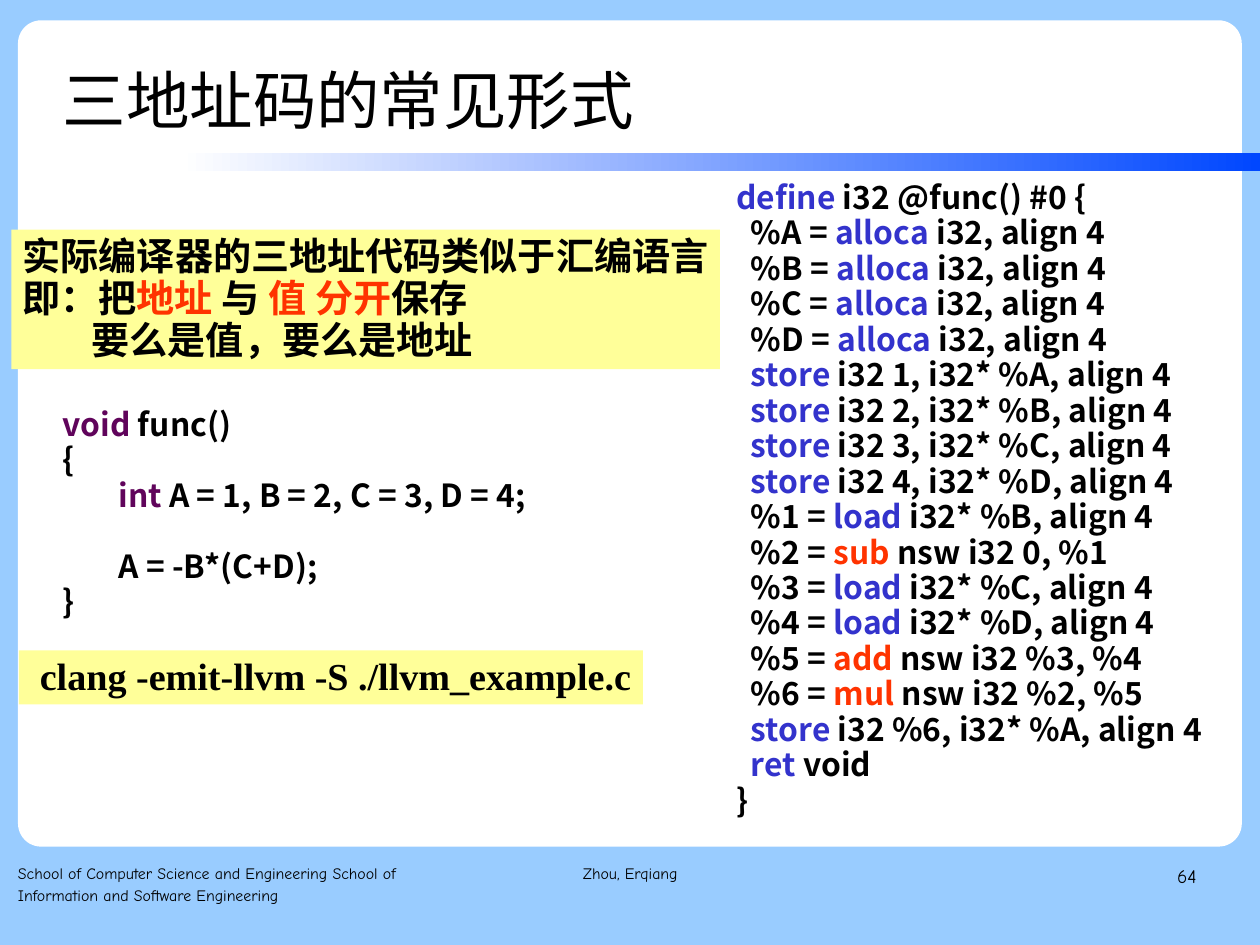
import pptx
import pptx.dml.color
import pptx.enum.shapes
import pptx.enum.text
import pptx.oxml
import pptx.util

Pt = pptx.util.Pt
Align = pptx.enum.text.PP_ALIGN
Anchor = pptx.enum.text.MSO_ANCHOR
Preset = pptx.enum.shapes.MSO_SHAPE

colors = {
    "sky": "99CCFF",
    "white": "FFFFFF",
    "band": "0047FF",
    "note": "FFFF99",
    "black": "000000",
    "purple": "60045B",
    "blue": "3333CC",
    "red": "FF3300",
}
CJK = "Noto Sans CJK SC"


def color(name):
    return pptx.dml.color.RGBColor.from_string(colors[name])


def write(box, lines, size, font, spacing, accents={}, bold=False,
          align=Align.LEFT, anchor=Anchor.TOP, margins=(0, 0), wrap=True):
    frame = box.text_frame
    frame.word_wrap = wrap
    frame.vertical_anchor = anchor
    frame.margin_left = frame.margin_right = Pt(margins[0])
    frame.margin_top = frame.margin_bottom = Pt(margins[1])
    for number, (text, indent, before) in enumerate(lines):
        para = frame.paragraphs[0] if number == 0 else frame.add_paragraph()
        para.alignment = align
        para.line_spacing = spacing
        if before:
            para.space_before = Pt(before)
        if indent:
            para._p.get_or_add_pPr().set("marL", str(Pt(indent)))
        for piece in text.split("|"):
            span = para.add_run()
            span.text = piece
            span.font.size = Pt(size)
            span.font.name = font
            span.font.bold = bold
            span.font.color.rgb = color(accents.get(piece.strip(), "black"))
            east_asian = pptx.oxml.parse_xml(
                '<a:ea xmlns:a="http://schemas.openxmlformats.org/drawingml/2006/main"'
                f' typeface="{CJK}"/>')
            span.font._element.find(pptx.oxml.ns.qn("a:latin")).addnext(east_asian)


deck = pptx.Presentation()
deck.slide_width, deck.slide_height = Pt(793.75), Pt(595.25)
page = deck.slides.add_slide(deck.slide_layouts[6])
page.background.fill.solid()
page.background.fill.fore_color.rgb = color("sky")

panel = page.shapes.add_shape(
    Preset.ROUNDED_RECTANGLE, Pt(11.3), Pt(12.8), Pt(771), Pt(520.5))
panel.adjustments[0] = 0.028
panel.fill.solid()
panel.fill.fore_color.rgb = color("white")

band = page.shapes.add_shape(Preset.RECTANGLE, Pt(113), Pt(96.4), Pt(680.75), Pt(11.4))
band.fill.gradient()
band.fill.gradient_angle = 0
for stop, name in zip(band.fill.gradient_stops, ("white", "band")):
    stop.color.rgb = color(name)

for shape in (panel, band):
    shape.line.fill.background()
    shape.shadow.inherit = False

title = page.shapes.add_textbox(Pt(39.6), Pt(23.8), Pt(617.8), Pt(72.7))
write(title, [("三地址码的常见形式", 0, 0)], 40, "Arial", 1.1, anchor=Anchor.MIDDLE)

footers = [
    ("Zhou, Erqiang", 271.4, 251.3, 10, Align.CENTER),
    ("64", 568.8, 185, 12, Align.RIGHT),
    ("School of Computer Science and Engineering School of "
     "Information and Software Engineering", 11.3, 243.4, 10, Align.LEFT),
]
for text, left, width, size, align in footers:
    footer = page.shapes.add_textbox(Pt(left), Pt(542), Pt(width), Pt(41))
    write(footer, [(text, 0, 0)], size, "Comic Neue", 1.16, align=align)

LINE = 22.34
TAB = 35.3
source_lines = [
    ("void| func()", 0, 0),
    ("{", 0, 0),
    ("int| A = 1, B = 2, C = 3, D = 4;", TAB, 0),
    ("A = -B*(C+D);", TAB, LINE),
    ("}", 0, 0),
]
llvm_lines = [
    "define| i32 @func() #0 {",
    *[f"  %{name} = |alloca| i32, align 4" for name in "ABCD"],
    *[f"  |store| i32 {value}, i32* %{name}, align 4"
      for value, name in enumerate("ABCD", 1)],
    "  %1 = |load| i32* %B, align 4",
    "  %2 = |sub| nsw i32 0, %1",
    "  %3 = |load| i32* %C, align 4",
    "  %4 = |load| i32* %D, align 4",
    "  %5 = |add| nsw i32 %3, %4",
    "  %6 = |mul| nsw i32 %2, %5",
    "  |store| i32 %6, i32* %A, align 4",
    "  |ret| void",
    "}",
]
source_accents = {"void": "purple", "int": "purple"}
llvm_accents = {
    **dict.fromkeys(("define", "alloca", "store", "load", "ret"), "blue"),
    **dict.fromkeys(("sub", "add", "mul"), "red"),
}
listings = [
    (32.4, 253, 309.6, 141.1, source_lines, source_accents),
    (456.9, 110, 311, 409.7, [(text, 0, 0) for text in llvm_lines], llvm_accents),
]
for left, top, width, height, lines, accents in listings:
    listing = page.shapes.add_textbox(Pt(left), Pt(top), Pt(width), Pt(height))
    write(listing, lines, 20, CJK, Pt(LINE), accents, bold=True,
          margins=(7.2, 3.6), wrap=False)

command_lines = [("clang -emit-llvm -S ./llvm_example.c", 6, 0)]
remark_lines = [
    ("实际编译器的三地址代码类似于汇编语言", 0, 0),
    ("即：把|地址 |与 |值 分开|保存", 0, 0),
    ("要么是值，要么是地址", 43.5, 0),
]
notes = [
    (12, 409.7, 393.1, 34, command_lines),
    (7.2, 144.7, 446.4, 87.8, remark_lines),
]
for left, top, width, height, lines in notes:
    note = page.shapes.add_shape(
        Preset.RECTANGLE, Pt(left), Pt(top), Pt(width), Pt(height))
    note.fill.solid()
    note.fill.fore_color.rgb = color("note")
    note.line.fill.background()
    note.shadow.inherit = False
    write(note, lines, 24, "Times New Roman", Pt(26.7),
          {"地址": "red", "值 分开": "red"}, bold=True,
          margins=(7.2, 3.6), wrap=False)

deck.save("out.pptx")
